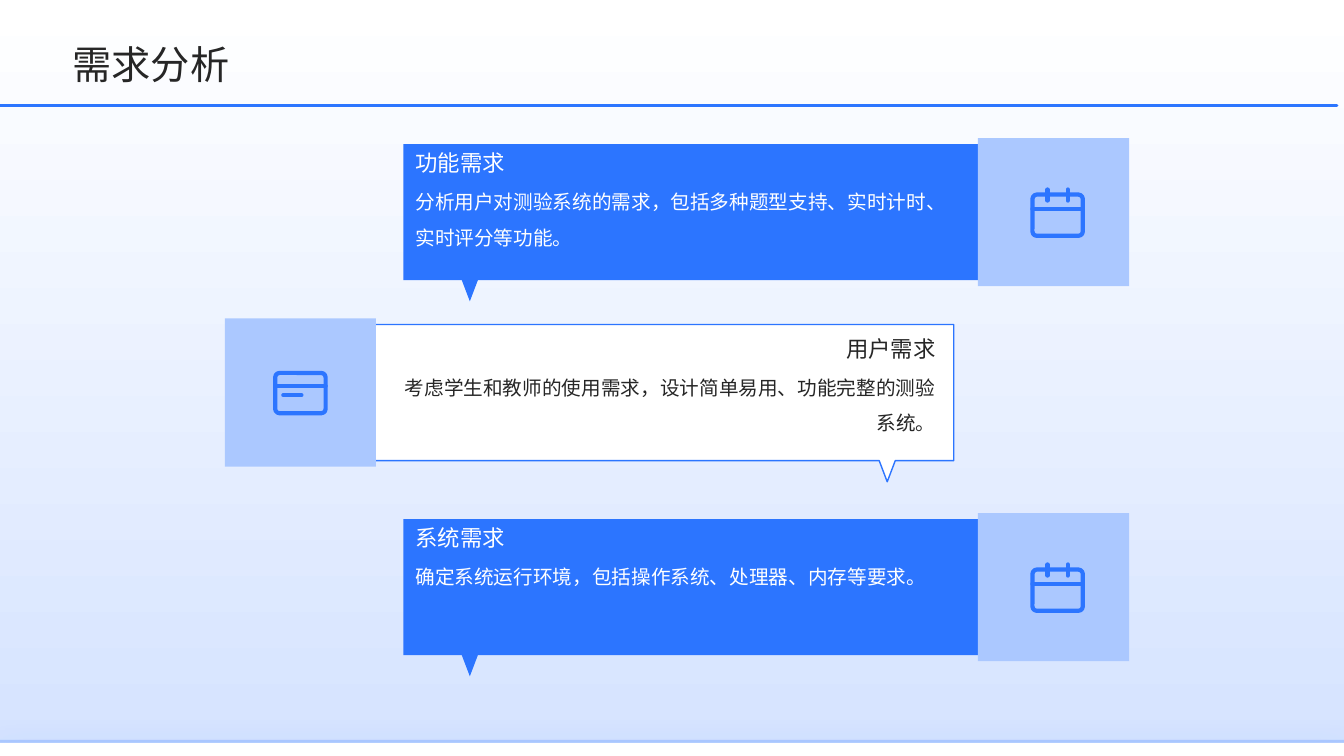
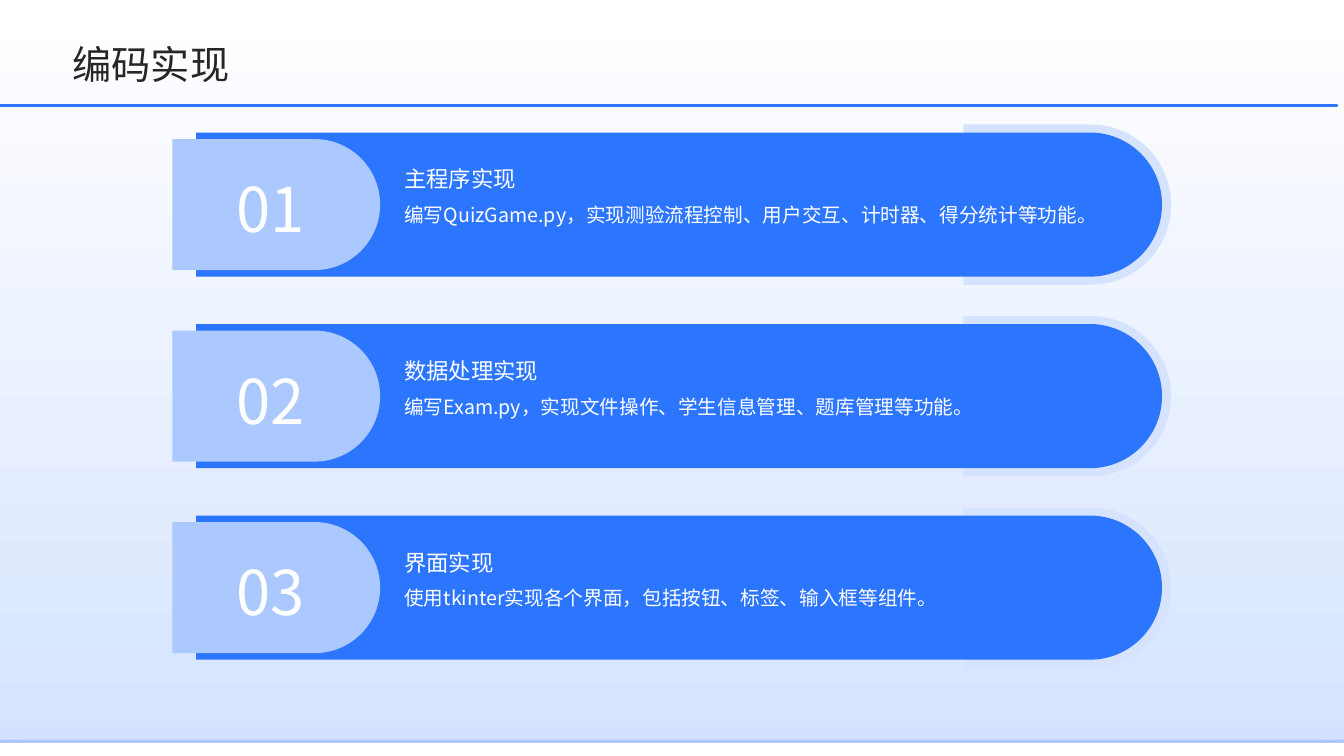
from lxml import etree
from pptx import Presentation
from pptx.dml.color import RGBColor
from pptx.enum.shapes import MSO_CONNECTOR, MSO_SHAPE
from pptx.enum.text import MSO_ANCHOR, PP_ALIGN
from pptx.oxml.ns import qn
from pptx.util import Pt

PX = 9144  # 100 px to the inch
WIDTH, HEIGHT = 1333, 750
FONT = "Noto Sans CJK SC"

BLUE = RGBColor(0x2C, 0x75, 0xFF)
LIGHT_BLUE = RGBColor(0xAB, 0xC8, 0xFF)
PALE_BLUE = RGBColor(0xD5, 0xE3, 0xFF)
WHITE = RGBColor(0xFF, 0xFF, 0xFF)
DARK = RGBColor(0x26, 0x26, 0x26)

RECTANGLE = MSO_SHAPE.RECTANGLE
ROUNDED = MSO_SHAPE.ROUNDED_RECTANGLE
ROUND_END = MSO_SHAPE.ROUND_2_SAME_RECTANGLE
STRAIGHT = MSO_CONNECTOR.STRAIGHT
TOP, MIDDLE, BOTTOM = MSO_ANCHOR.TOP, MSO_ANCHOR.MIDDLE, MSO_ANCHOR.BOTTOM
LEFT, CENTER, RIGHT = PP_ALIGN.LEFT, PP_ALIGN.CENTER, PP_ALIGN.RIGHT


def add_box(slide, kind, left, top, width, height, color):
    shape = slide.shapes.add_shape(kind, left * PX, top * PX, width * PX, height * PX)
    shape.shadow.inherit = False
    shape.line.fill.background()
    shape.fill.solid()
    shape.fill.fore_color.rgb = color
    return shape


def add_text(slide, text, box, size, color, spacing, anchor=TOP, align=LEFT):
    frame = slide.shapes.add_textbox(*(length * PX for length in box)).text_frame
    frame.word_wrap = True
    frame.margin_left = frame.margin_top = frame.margin_right = frame.margin_bottom = 0
    frame.vertical_anchor = anchor
    frame.text = text
    paragraph = frame.paragraphs[0]
    paragraph.alignment = align
    paragraph.line_spacing = spacing
    run = paragraph.runs[0]
    run.font.size = Pt(size)
    run.font.color.rgb = color
    run.font.name = FONT
    etree.SubElement(run.font._element, qn("a:ea"), typeface=FONT)


presentation = Presentation()
presentation.slide_width = WIDTH * PX
presentation.slide_height = HEIGHT * PX
strokes = []  # slide, start x, start y, end x, end y, points

# Shared background, footer bands and title
slides = []
for title in ("需求分析", "编码实现"):
    slide = presentation.slides.add_slide(presentation.slide_layouts[6])
    slides.append(slide)
    background = add_box(slide, RECTANGLE, 0, 0, WIDTH, HEIGHT, WHITE)
    background.fill.gradient()
    background.fill.gradient_angle = 90
    for stop, color in zip(background.fill.gradient_stops, (PALE_BLUE, WHITE)):
        stop.color.rgb = color
    for top, height, color in ((734, 8, LIGHT_BLUE), (737, 13, WHITE)):
        band = add_box(slide, RECTANGLE, 0, top, WIDTH, height, color)
        effects = band.element.spPr.find(qn("a:effectLst"))
        shadow = etree.SubElement(effects, qn("a:outerShdw"), blurRad=str(Pt(25)),
                                  dist=str(Pt(10)), dir="5400000")
        shadow_color = etree.SubElement(shadow, qn("a:srgbClr"), val=str(BLUE))
        etree.SubElement(shadow_color, qn("a:alpha"), val="10000")
    add_text(slide, title, (72, 35, 1167, 51), 28, DARK, 1.1, MIDDLE)
    strokes.append((slide, 0, 105, 1326, 105, 2.25))
requirements, coding = slides

# Requirement callouts; direction -1 mirrors the outline
CALENDAR = ((0, 14, 50, 14), (15, -5, 15, 6), (35, -5, 35, 6))
CARD = ((0, 13, 50, 13), (8, 22, 26, 22))
LEFT_TAIL = dict(edge=400, direction=1, color=BLUE, ink=WHITE, align=LEFT,
                 text_left=412, text_width=545, title_drop=5, tile_left=970,
                 icon=CALENDAR, icon_left=1024, icon_drop=50, icon_height=41)
RIGHT_TAIL = dict(edge=946, direction=-1, color=WHITE, ink=DARK, align=RIGHT,
                  text_left=385, text_width=543, title_drop=10, tile_left=223,
                  icon=CARD, icon_left=273, icon_drop=48, icon_height=40)
callouts = (
    (143, LEFT_TAIL, "功能需求",
     "分析用户对测验系统的需求，包括多种题型支持、实时计时、实时评分等功能。"),
    (322, RIGHT_TAIL, "用户需求",
     "考虑学生和教师的使用需求，设计简单易用、功能完整的测验系统。"),
    (515, LEFT_TAIL, "系统需求",
     "确定系统运行环境，包括操作系统、处理器、内存等要求。"),
)
for top, style, heading, detail in callouts:
    outline = [(style["edge"] + style["direction"] * across, top + down) for across, down in
               ((0, 0), (711, 0), (711, 135), (74, 135), (66, 156), (58, 135), (0, 135))]
    builder = requirements.shapes.build_freeform(*outline[0], scale=PX)
    builder.add_line_segments(outline[1:], close=True)
    callout = builder.convert_to_shape()
    callout.shadow.inherit = False
    callout.fill.solid()
    callout.fill.fore_color.rgb = style["color"]
    if style["color"] == WHITE:
        callout.line.color.rgb = BLUE
        callout.line.width = Pt(1)
    else:
        callout.line.fill.background()

    title_top = top + style["title_drop"]
    text_left, text_width = style["text_left"], style["text_width"]
    add_text(requirements, heading, (text_left, title_top, text_width, 27),
             16, style["ink"], 1.3, BOTTOM, style["align"])
    add_text(requirements, detail, (text_left, title_top + 29, text_width, 89),
             14, style["ink"], 1.5, TOP, style["align"])

    # Icon tile
    add_box(requirements, RECTANGLE, style["tile_left"], top - 6, 150, 147, LIGHT_BLUE)
    icon_left, icon_top = style["icon_left"], top + style["icon_drop"]
    icon = add_box(requirements, ROUNDED, icon_left, icon_top, 50, style["icon_height"], BLUE)
    icon.adjustments[0] = 0.11
    icon.fill.background()
    icon.line.color.rgb = BLUE
    icon.line.width = Pt(3)
    for x1, y1, x2, y2 in style["icon"]:
        strokes.append((requirements, icon_left + x1, icon_top + y1,
                        icon_left + x2, icon_top + y2, 3))

# Numbered coding steps, each bar turned so that its round end points right
ROW_PITCH = 190
bars = ((979, 159, 206, PALE_BLUE), (602, 143, 958, BLUE), (209, 130, 206, LIGHT_BLUE))
steps = (
    ("主程序实现", "编写QuizGame.py，实现测验流程控制、用户交互、计时器、得分统计等功能。"),
    ("数据处理实现", "编写Exam.py，实现文件操作、学生信息管理、题库管理等功能。"),
    ("界面实现", "使用tkinter实现各个界面，包括按钮、标签、输入框等组件。"),
)
for index, (heading, detail) in enumerate(steps):
    middle = 203 + index * ROW_PITCH
    for left, thickness, length, color in bars:
        bar = add_box(coding, ROUND_END, left, middle - length // 2, thickness, length, color)
        bar.adjustments[0] = 0.5
        bar.adjustments[1] = 0
        bar.rotation = 90
    add_text(coding, f"{index + 1:02}", (218, middle - 43, 101, 71),
             44, WHITE, 1.3, MIDDLE, CENTER)
    add_text(coding, heading, (401, middle - 62, 711, 50), 16, WHITE, 1.3, BOTTOM)
    add_text(coding, detail, (401, middle - 13, 711, 70), 14, WHITE, 1.5)

# Title rules and icon strokes
for slide, x1, y1, x2, y2, points in strokes:
    line = slide.shapes.add_connector(STRAIGHT, x1 * PX, y1 * PX, x2 * PX, y2 * PX)
    line.line.color.rgb = BLUE
    line.line.width = Pt(points)
    properties = line.element.spPr
    properties.find(qn("a:ln")).set("cap", "rnd")
    etree.SubElement(properties, qn("a:effectLst"))

presentation.save("out.pptx")
